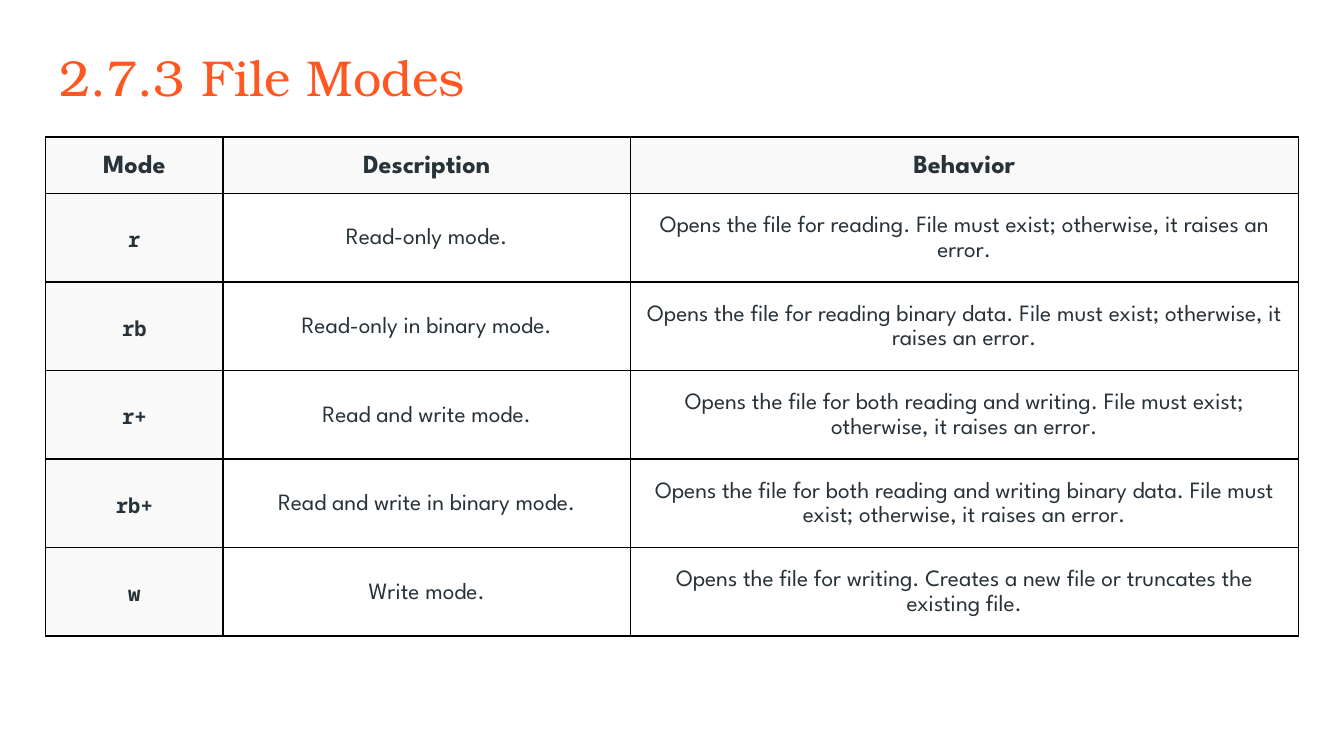
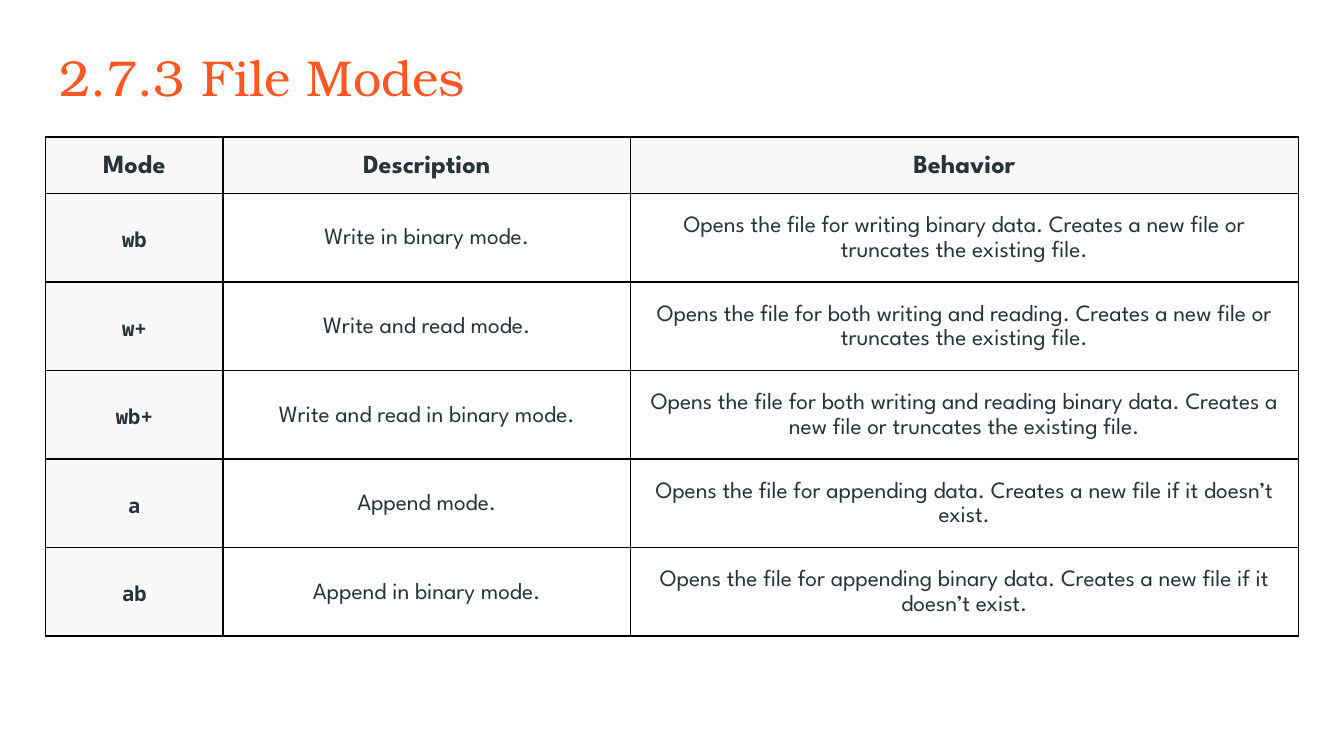
from dataclasses import dataclass

from lxml import etree
from pptx import Presentation
from pptx.dml.color import RGBColor
from pptx.enum.text import MSO_ANCHOR, MSO_AUTO_SIZE, PP_ALIGN
from pptx.oxml.ns import qn
from pptx.util import Inches, Pt

TOP, MIDDLE = MSO_ANCHOR.TOP, MSO_ANCHOR.MIDDLE
LEFT, CENTER = PP_ALIGN.LEFT, PP_ALIGN.CENTER
NO_AUTOFIT = MSO_AUTO_SIZE.NONE
TITLE_ONLY = 5


@dataclass(frozen=True)
class TextStyle:
    font: str
    size: float
    color: str
    bold: bool = False


@dataclass(frozen=True)
class Theme:
    title: TextStyle = TextStyle("TeX Gyre Bonum", 27, "FF5722")
    header: TextStyle = TextStyle("League Spartan", 14, "273239", True)
    mode: TextStyle = TextStyle("Noto Sans Mono", 11, "273239", True)
    body: TextStyle = TextStyle("League Spartan", 12.5, "273239")
    background: str = "FFFFFF"
    shade: str = "F9F9F9"
    border: str = "000000"
    border_width: float = 0.75
    line_spacing: float = 1.15


THEME = Theme()
SLIDE_WIDTH = 10
SLIDE_HEIGHT = SLIDE_WIDTH * 9 / 16
MARGIN = 0.34
TITLE_BOX = (MARGIN, 0.24, 9.32, 0.63)
TABLE_TOP = 1.02
COLUMN_WIDTHS = (1.32, 3.03, 4.97)
ROW_HEIGHT = 0.42
BODY_PADDING = 10.5 / 72

TITLE = "2.7.3 File Modes"
HEADINGS = ("Mode", "Description", "Behavior")
READ_MODES = (
    ("r", "Read-only mode.",
     "Opens the file for reading. File must exist; otherwise, it raises an error."),
    ("rb", "Read-only in binary mode.",
     "Opens the file for reading binary data. File must exist; otherwise, it raises an error."),
    ("r+", "Read and write mode.",
     "Opens the file for both reading and writing. File must exist; otherwise, it raises an error."),
    ("rb+", "Read and write in binary mode.",
     "Opens the file for both reading and writing binary data. File must exist; otherwise, it raises an error."),
    ("w", "Write mode.",
     "Opens the file for writing. Creates a new file or truncates the existing file."),
)
WRITE_MODES = (
    ("wb", "Write in binary mode.",
     "Opens the file for writing binary data. Creates a new file or truncates the existing file."),
    ("w+", "Write and read mode.",
     "Opens the file for both writing and reading. Creates a new file or truncates the existing file."),
    ("wb+", "Write and read in binary mode.",
     "Opens the file for both writing and reading binary data. Creates a new file or truncates the existing file."),
    ("a", "Append mode.",
     "Opens the file for appending data. Creates a new file if it doesn’t exist."),
    ("ab", "Append in binary mode.",
     "Opens the file for appending binary data. Creates a new file if it doesn’t exist."),
)


def write_text(frame, text, style, alignment):
    frame.text = text
    paragraph = frame.paragraphs[0]
    paragraph.alignment = alignment
    font = paragraph.runs[0].font
    font.name = style.font
    font.size = Pt(style.size)
    font.bold = style.bold
    font.color.rgb = RGBColor.from_string(style.color)
    return paragraph


def set_margins(target, horizontal, vertical):
    target.margin_left = target.margin_right = Inches(horizontal)
    target.margin_top = target.margin_bottom = Inches(vertical)


def add_borders(cell):
    properties = cell._tc.get_or_add_tcPr()
    for position, side in enumerate(("a:lnL", "a:lnR", "a:lnT", "a:lnB")):
        line = etree.Element(qn(side), w=str(Pt(THEME.border_width)))
        fill = etree.SubElement(line, qn("a:solidFill"))
        etree.SubElement(fill, qn("a:srgbClr"), val=THEME.border)
        properties.insert(position, line)


def fill_cell(cell, text, is_header, is_mode):
    if is_header:
        style, vertical = THEME.header, 0.1
    elif is_mode:
        style, vertical = THEME.mode, 0.07
    else:
        style, vertical = THEME.body, BODY_PADDING
    paragraph = write_text(cell.text_frame, text, style, CENTER)
    paragraph.line_spacing = THEME.line_spacing
    cell.vertical_anchor = MIDDLE
    set_margins(cell, 0.04 if is_mode else 0.1, vertical)
    if is_header or is_mode:
        cell.fill.solid()
        cell.fill.fore_color.rgb = RGBColor.from_string(THEME.shade)
    else:
        cell.fill.background()
    add_borders(cell)


def add_title(slide, text):
    title = slide.shapes.title
    title.left, title.top, title.width, title.height = map(Inches, TITLE_BOX)
    frame = title.text_frame
    frame.word_wrap = True
    frame.auto_size = NO_AUTOFIT
    frame.vertical_anchor = TOP
    set_margins(frame, 0.1, 0.1)
    write_text(frame, text, THEME.title, LEFT)


def add_mode_table(slide, modes):
    rows = (HEADINGS, *modes)
    table = slide.shapes.add_table(
        len(rows), len(HEADINGS), Inches(MARGIN), Inches(TABLE_TOP),
        Inches(sum(COLUMN_WIDTHS)), Inches(ROW_HEIGHT * len(rows)),
    ).table
    table.first_row = table.horz_banding = False
    for column, width in zip(table.columns, COLUMN_WIDTHS):
        column.width = Inches(width)
    for row_index, row in enumerate(rows):
        table.rows[row_index].height = Inches(ROW_HEIGHT)
        for column_index, text in enumerate(row):
            fill_cell(table.cell(row_index, column_index), text,
                      row_index == 0, column_index == 0)


def add_modes_slide(deck, modes):
    slide = deck.slides.add_slide(deck.slide_layouts[TITLE_ONLY])
    add_title(slide, TITLE)
    add_mode_table(slide, modes)


def main():
    deck = Presentation()
    deck.slide_width, deck.slide_height = Inches(SLIDE_WIDTH), Inches(SLIDE_HEIGHT)
    backdrop = deck.slide_master.background.fill
    backdrop.solid()
    backdrop.fore_color.rgb = RGBColor.from_string(THEME.background)
    for modes in (READ_MODES, WRITE_MODES):
        add_modes_slide(deck, modes)
    deck.save("out.pptx")


if __name__ == "__main__":
    main()
